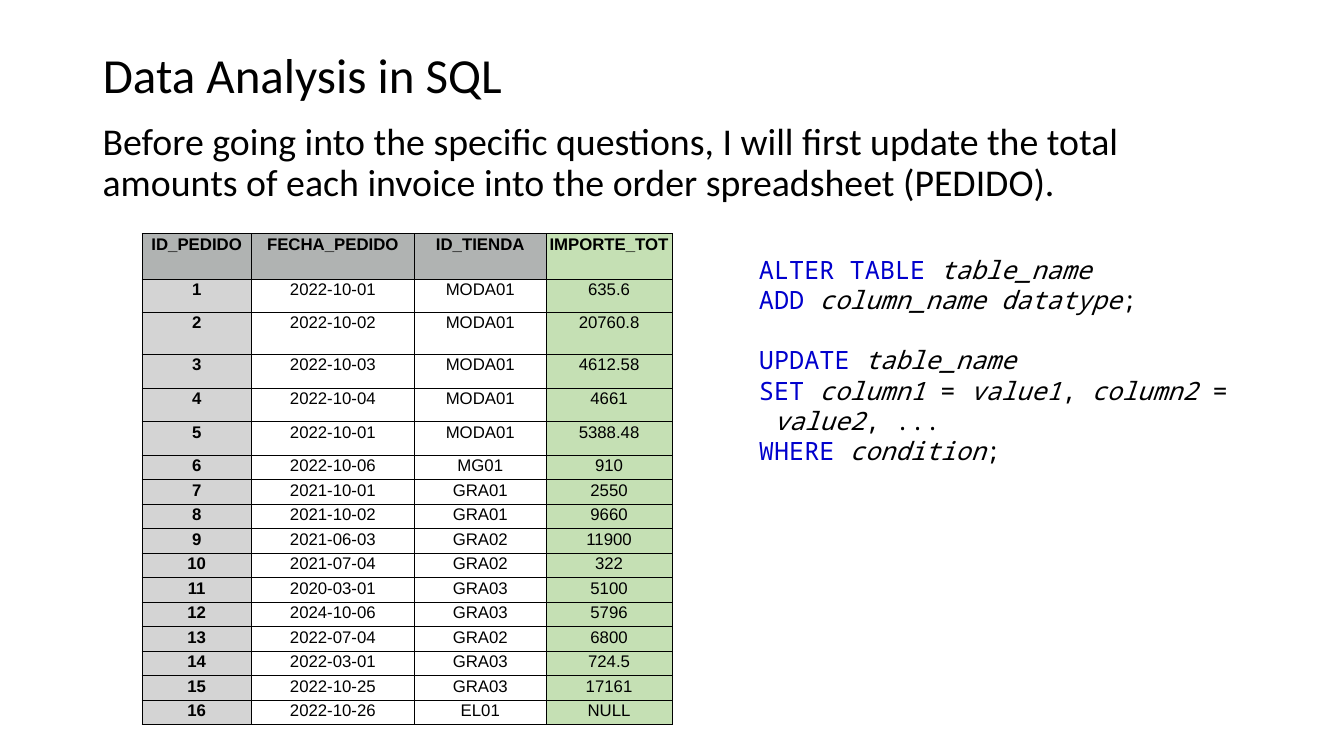
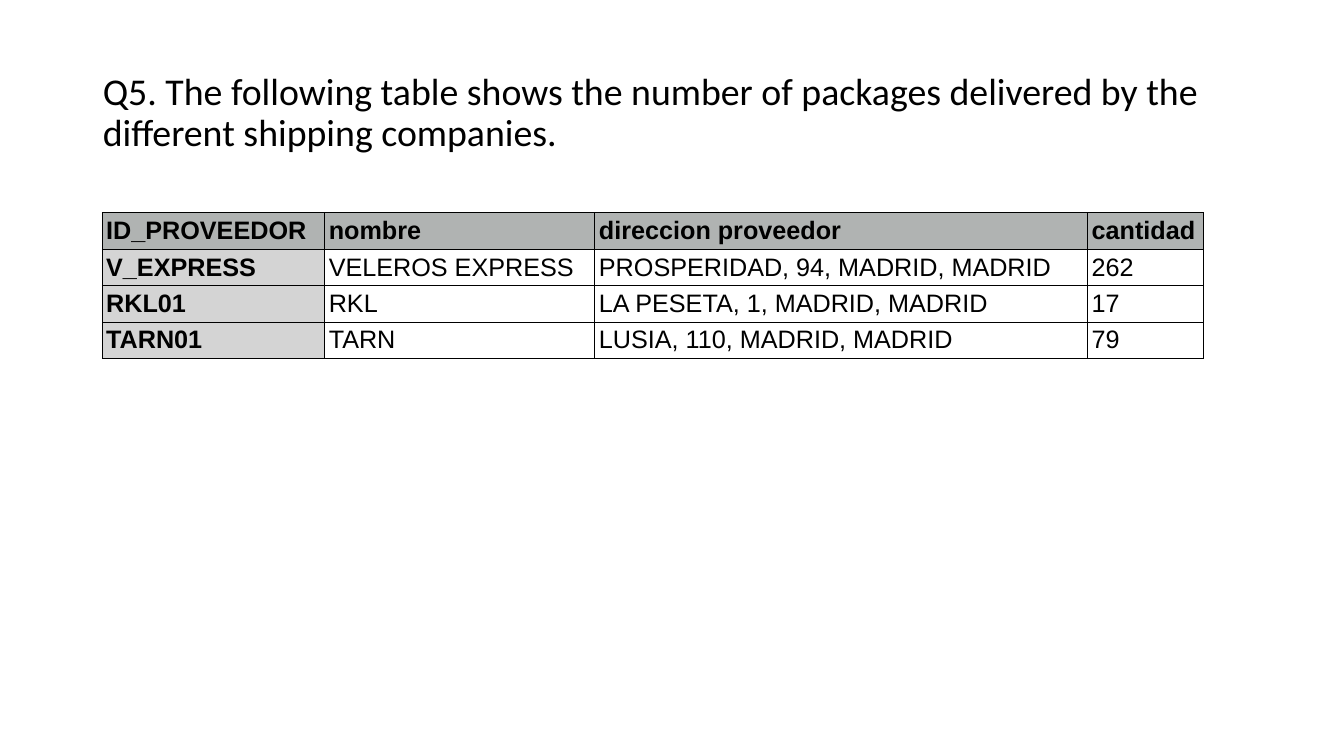
import pptx
import pptx.dml.color
import pptx.enum.text
import pptx.oxml
import pptx.oxml.ns
import pptx.util

Pt = pptx.util.Pt
RGBColor = pptx.dml.color.RGBColor
ALIGN = pptx.enum.text.PP_ALIGN
ANCHOR = pptx.enum.text.MSO_ANCHOR
AUTO_SIZE = pptx.enum.text.MSO_AUTO_SIZE

BLACK = RGBColor(0x00, 0x00, 0x00)
HEADER_GRAY = RGBColor(0xB0, 0xB3, 0xB2)
KEY_GRAY = RGBColor(0xD4, 0xD4, 0xD4)
TOTAL_GREEN = RGBColor(0xC5, 0xE0, 0xB4)
KEYWORD_BLUE = RGBColor(0x00, 0x00, 0xCD)

TEXT_FONT = "Calibri"
TABLE_FONT = "Arial"
CODE_FONT = "Noto Sans Mono"
HARD_SPACE = chr(160)
LEFT, TEXT_WIDTH = 66.24, 828
TEXT_SIZE = 27

ORDERS = [
    ("ID_PEDIDO", "FECHA_PEDIDO", "ID_TIENDA", "IMPORTE_TOT"),
    ("1", "2022-10-01", "MODA01", "635.6"),
    ("2", "2022-10-02", "MODA01", "20760.8"),
    ("3", "2022-10-03", "MODA01", "4612.58"),
    ("4", "2022-10-04", "MODA01", "4661"),
    ("5", "2022-10-01", "MODA01", "5388.48"),
    ("6", "2022-10-06", "MG01", "910"),
    ("7", "2021-10-01", "GRA01", "2550"),
    ("8", "2021-10-02", "GRA01", "9660"),
    ("9", "2021-06-03", "GRA02", "11900"),
    ("10", "2021-07-04", "GRA02", "322"),
    ("11", "2020-03-01", "GRA03", "5100"),
    ("12", "2024-10-06", "GRA03", "5796"),
    ("13", "2022-07-04", "GRA02", "6800"),
    ("14", "2022-03-01", "GRA03", "724.5"),
    ("15", "2022-10-25", "GRA03", "17161"),
    ("16", "2022-10-26", "EL01", "NULL"),
]
ORDER_ROW_HEIGHTS = [32.4, 24, 30, 24, 24, 24] + [17.5] * 11

SHIPPERS = [
    ("ID_PROVEEDOR", "nombre", "direccion proveedor", "cantidad"),
    ("V_EXPRESS", "VELEROS EXPRESS", "PROSPERIDAD, 94, MADRID, MADRID", "262"),
    ("RKL01", "RKL", "LA PESETA, 1, MADRID, MADRID", "17"),
    ("TARN01", "TARN", "LUSIA, 110, MADRID, MADRID", "79"),
]

KEYWORD = {"color": KEYWORD_BLUE}
NAME = {"italic": True}
SIGN = {}
STATEMENTS = [
    [
        [("ALTER TABLE ", KEYWORD), ("table_name", NAME)],
        [("ADD ", KEYWORD), ("column_name datatype", NAME), (";", SIGN)],
    ],
    [
        [("UPDATE ", KEYWORD), ("table_name", NAME)],
        [("SET ", KEYWORD), ("column1 ", NAME), ("=", SIGN), (" value1", NAME),
         (",", SIGN), (" column2 ", NAME), ("=", SIGN), (" value2", NAME),
         (", ...", SIGN)],
        [("WHERE ", KEYWORD), ("condition", NAME), (";", SIGN)],
    ],
]


def write(paragraph, text, size=18, font=TEXT_FONT, color=BLACK, bold=False,
          italic=False, align=ALIGN.LEFT, line_spacing=None):
    paragraph.alignment = align
    if line_spacing:
        paragraph.line_spacing = line_spacing
    run = paragraph.add_run()
    run.text = text
    run.font.name = font
    run.font.size = Pt(size)
    run.font.color.rgb = color
    run.font.bold = bold
    run.font.italic = italic


def add_text_box(slide, left, top, width, height):
    frame = slide.shapes.add_textbox(
        Pt(left), Pt(top), Pt(width), Pt(height)).text_frame
    frame.word_wrap = True
    return frame


def add_titled_slide(presentation, text, top, height, size):
    slide = presentation.slides.add_slide(presentation.slide_layouts[5])
    title = slide.shapes.title
    title.left, title.top = Pt(LEFT), Pt(top)
    title.width, title.height = Pt(TEXT_WIDTH), Pt(height)
    frame = title.text_frame
    frame.word_wrap = True
    frame.auto_size = AUTO_SIZE.NONE
    frame.vertical_anchor = ANCHOR.MIDDLE
    write(frame.paragraphs[0], text, size=size, line_spacing=0.9)
    return slide


def add_borders(cell):
    properties = cell._tc.get_or_add_tcPr()
    for side in ("lnL", "lnR", "lnT", "lnB"):
        properties.append(pptx.oxml.parse_xml(
            f'<a:{side} {pptx.oxml.ns.nsdecls("a")} w="{Pt(0.75)}">'
            f'<a:solidFill><a:srgbClr val="{BLACK}"/></a:solidFill></a:{side}>'))


def cell_color(row, column, total_column):
    if column == total_column:
        return TOTAL_GREEN
    if row == 0:
        return HEADER_GRAY
    return KEY_GRAY if column == 0 else None


def add_grid(slide, rows, left, top, widths, heights, inset, size,
             align=ALIGN.LEFT, total_column=None):
    table = slide.shapes.add_table(
        len(rows), len(widths), Pt(left), Pt(top),
        Pt(sum(widths)), Pt(sum(heights))).table
    table.first_row = table.horz_banding = False
    for column, width in zip(table.columns, widths):
        column.width = Pt(width)
    for row_index, (values, height) in enumerate(zip(rows, heights)):
        table.rows[row_index].height = Pt(height)
        for column_index, value in enumerate(values):
            cell = table.cell(row_index, column_index)
            cell.margin_left = cell.margin_right = Pt(inset)
            cell.margin_top = cell.margin_bottom = Pt(inset)
            add_borders(cell)
            color = cell_color(row_index, column_index, total_column)
            if color is None:
                cell.fill.background()
            else:
                cell.fill.solid()
                cell.fill.fore_color.rgb = color
            write(cell.text_frame.paragraphs[0], value, size=size,
                  font=TABLE_FONT, align=align,
                  bold=row_index == 0 or column_index == 0)


def add_code(slide, statements, left, top, width, height):
    frame = add_text_box(slide, left, top, width, height)
    for statement_index, lines in enumerate(statements):
        paragraph = frame.paragraphs[0]
        if statement_index:
            paragraph = frame.add_paragraph()
            paragraph.space_before = Pt(21.5)
        for line_index, parts in enumerate(lines):
            if line_index:
                paragraph.add_line_break()
            for text, style in parts:
                write(paragraph, text.replace(" ", HARD_SPACE),
                      font=CODE_FONT, **style)


def add_orders_slide(presentation):
    slide = add_titled_slide(presentation, "Data Analysis in SQL", 23, 65.5, 35)
    introduction = add_text_box(slide, LEFT, 84.24, TEXT_WIDTH, 70)
    write(introduction.paragraphs[0],
          "Before going into the specific questions, I will first update the "
          "total amounts of each invoice into the order spreadsheet (PEDIDO).",
          size=TEXT_SIZE, line_spacing=0.9)
    add_grid(slide, ORDERS, 101.5, 167, [78, 116.6, 94, 90],
             ORDER_ROW_HEIGHTS, inset=0.72, size=12, align=ALIGN.CENTER,
             total_column=3)
    add_code(slide, STATEMENTS, 535, 178, 358.6, 160)


def add_shippers_slide(presentation):
    slide = add_titled_slide(
        presentation,
        "Q5. The following table shows the number of packages delivered by "
        "the different shipping companies.", 28.8, 104.4, TEXT_SIZE)
    add_grid(slide, SHIPPERS, 73, 152, [159, 193, 352, 83],
             [26] * len(SHIPPERS), inset=2.88, size=18)


def main():
    presentation = pptx.Presentation()
    presentation.slide_width = Pt(960)
    presentation.slide_height = Pt(540)
    add_orders_slide(presentation)
    add_shippers_slide(presentation)
    presentation.save("out.pptx")


if __name__ == "__main__":
    main()
